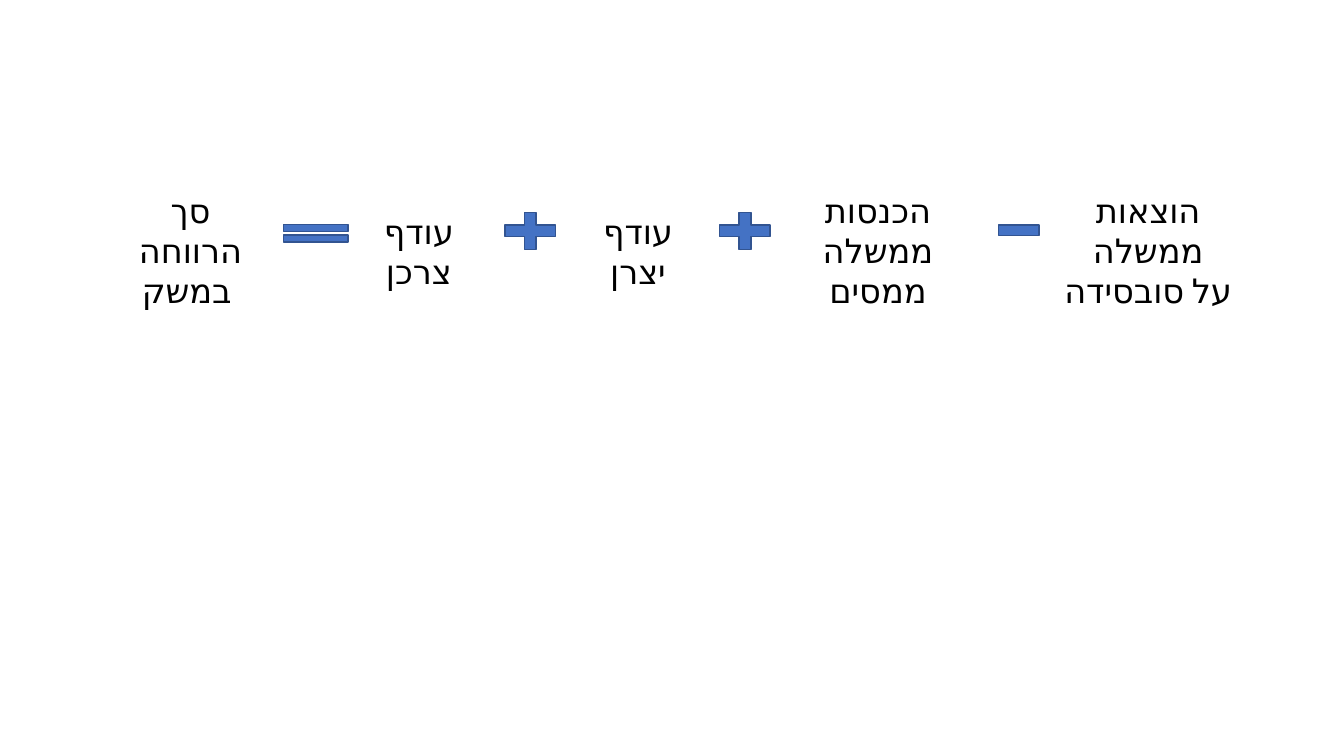
import pptx
import pptx.util
import pptx.dml.color
import pptx.enum.shapes
import pptx.enum.text
import pptx.oxml
import pptx.oxml.ns
from pptx.util import Pt

BLACK = pptx.dml.color.RGBColor(0x00, 0x00, 0x00)
BLUE = pptx.dml.color.RGBColor(0x44, 0x72, 0xC4)
DARK_BLUE = pptx.dml.color.RGBColor(0x32, 0x54, 0x91)
FONT = "Calibri"
SHAPE = pptx.enum.shapes.MSO_SHAPE

prs = pptx.Presentation()
prs.slide_width, prs.slide_height = Pt(960), Pt(540)
s = prs.slides.add_slide(prs.slide_layouts[6])

terms = [
    (78.5, 131.8, 115.2, 65.5, False, ["סך הרווחה", " במשק"]),
    (245.5, 146.9, 107.3, 36, True, ["עודף צרכן"]),
    (404.6, 146.9, 102.2, 36, True, ["עודף יצרן"]),
    (545.8, 131.8, 162.7, 65.5, True, ["הכנסות ממשלה", "ממסים"]),
    (740.2, 131.8, 159.8, 65.5, True, ["הוצאות ממשלה", "על סובסידה"]),
]
for left, top, width, height, wrap, lines in terms:
    sp = s.shapes.add_textbox(Pt(left), Pt(top), Pt(width), Pt(height))
    tf = sp.text_frame
    tf.word_wrap = wrap
    for i, line in enumerate(lines):
        p = tf.add_paragraph() if i else tf.paragraphs[0]
        p.alignment = pptx.enum.text.PP_ALIGN.CENTER
        p._p.get_or_add_pPr().set("rtl", "1")
        r = p.add_run()
        r.text = line
        r.font.size = Pt(24)
        r.font.name = FONT
        r.font.color.rgb = BLACK
        rPr = r._r.get_or_add_rPr()
        rPr.set("lang", "he-IL")
        cs = pptx.oxml.parse_xml(f'<a:cs {pptx.oxml.ns.nsdecls("a")} typeface="{FONT}"/>')
        rPr.append(cs)

operators = [
    (SHAPE.MATH_EQUAL, 194.4, 156.2, 62.6, 20.9),
    (SHAPE.MATH_PLUS, 354.2, 146.9, 49, 36),
    (SHAPE.MATH_PLUS, 507.6, 146.9, 49, 36),
    (SHAPE.MATH_MINUS, 707.8, 149, 39.6, 31),
]
for kind, left, top, width, height in operators:
    sp = s.shapes.add_shape(kind, Pt(left), Pt(top), Pt(width), Pt(height))
    sp.shadow.inherit = False
    sp.fill.solid()
    sp.fill.fore_color.rgb = BLUE
    sp.line.color.rgb = DARK_BLUE
    sp.line.width = Pt(1)

prs.save("out.pptx")
